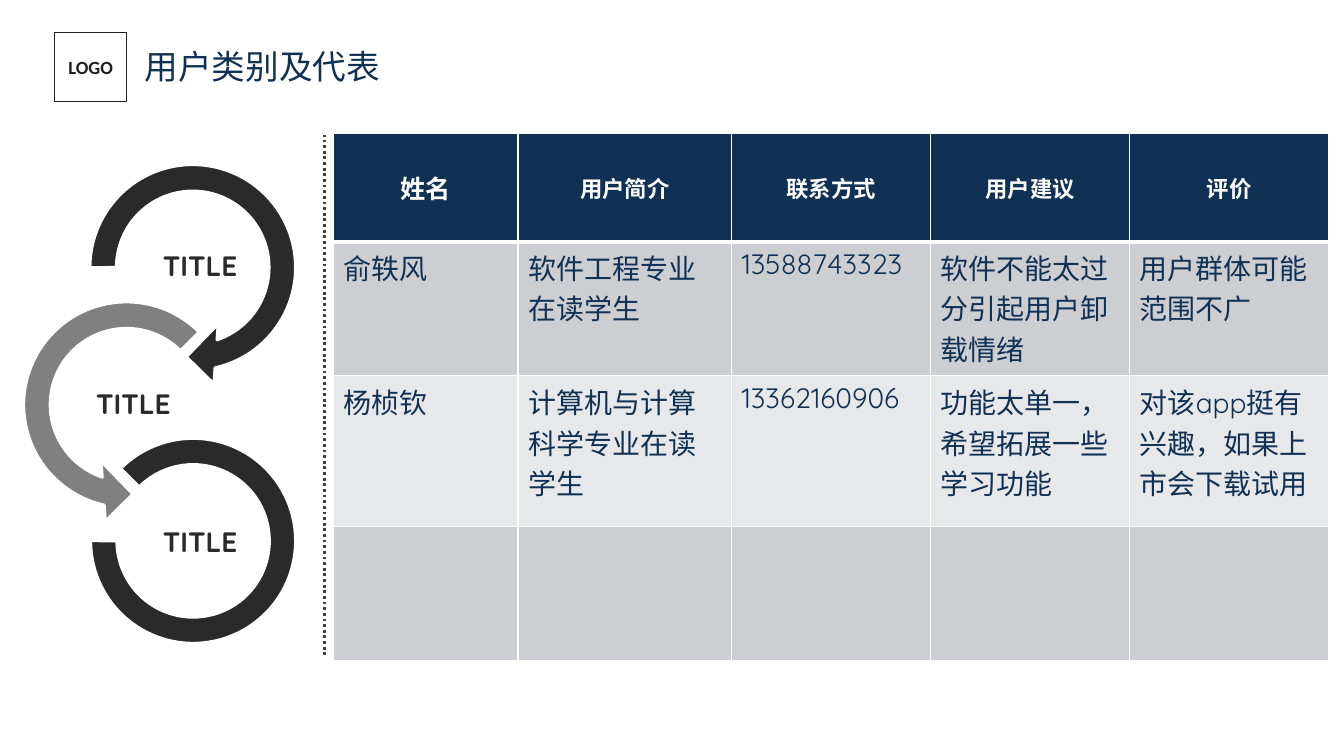
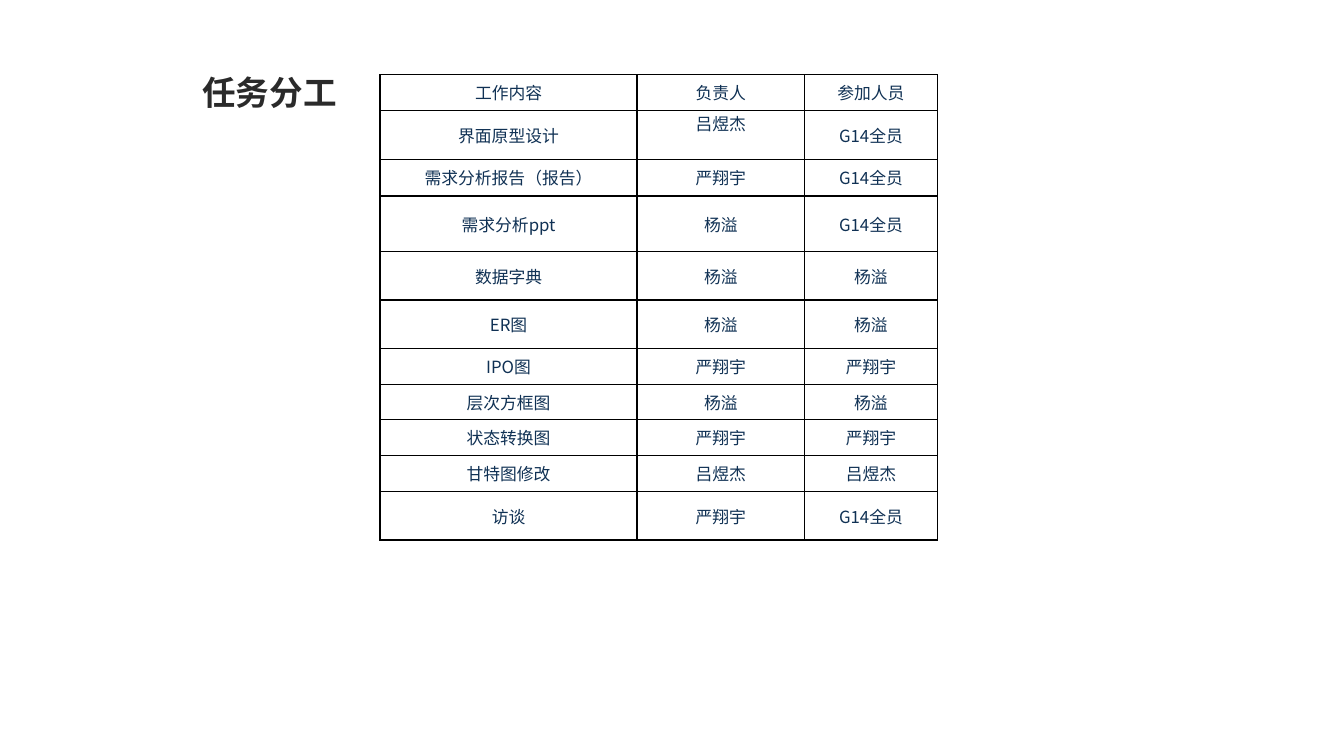
from pptx import Presentation
from pptx.dml.color import RGBColor
from pptx.enum.dml import MSO_LINE
from pptx.enum.shapes import MSO_CONNECTOR, MSO_SHAPE
from pptx.enum.text import MSO_ANCHOR, PP_ALIGN
from pptx.util import Cm, Pt
from lxml.etree import SubElement
from pptx.oxml.ns import qn

HUES = {"navy": "103154", "dark": "2A2A2A", "ink": "1F1F1F", "grey": "808080",
        "dots": "404040", "band": "CCCED1", "pale": "E7E8E9",
        "white": "FFFFFF", "black": "000000"}
HUE = {name: RGBColor.from_string(code) for name, code in HUES.items()}
BODY = "Quicksand"
HAN = "Noto Sans CJK SC"


def write(frame, text, size, hue, font=BODY, bold=False, align=PP_ALIGN.LEFT):
    frame.word_wrap = True
    para = frame.paragraphs[0]
    para.text = text
    para.alignment = align
    para.font.size = Pt(size)
    para.font.name = font
    para.font.bold = bold
    para.font.color.rgb = HUE[hue]
    return para


def grid(slide, left, top, cols, rows, edge):
    frame = slide.shapes.add_table(len(rows), len(cols), Cm(left), Cm(top),
                                   Cm(sum(cols)), Cm(sum(rows)))
    table = frame.table
    table.first_row = table.horz_banding = False
    for col, width in zip(table.columns, cols):
        col.width = Cm(width)
    for row, height in zip(table.rows, rows):
        row.height = Cm(height)
    for cell in table.iter_cells():
        props = cell._tc.get_or_add_tcPr()
        for side in ("a:lnL", "a:lnR", "a:lnT", "a:lnB"):
            line = SubElement(props, qn(side), w=str(Pt(1)))
            fill = SubElement(line, qn("a:solidFill"))
            SubElement(fill, qn("a:srgbClr"), val=HUES[edge])
    return table


deck = Presentation()
deck.slide_width, deck.slide_height = Cm(33.88), Cm(19.05)
blank = deck.slide_layouts[6]
users, tasks = [deck.slides.add_slide(blank) for _ in range(2)]

for slide, text, left, top, width, hue, font, bold in [
        (users, "用户类别及代表", 3.4, 1.04, 10.67, "navy", BODY, False),
        (tasks, "任务分工", 4.85, 1.68, 4.01, "dark", "Noto Sans CJK JP", True)]:
    title = slide.shapes.add_textbox(Cm(left), Cm(top), Cm(width), Cm(1.27))
    write(title.text_frame, text, 24, hue, font, bold)

logo = users.shapes.add_shape(MSO_SHAPE.RECTANGLE, Cm(1.37), Cm(0.81), Cm(1.83), Cm(1.75))
logo.shadow.inherit = False
logo.fill.background()
logo.line.color.rgb = HUE["ink"]
logo.line.width = Pt(0.75)
frame = logo.text_frame
frame.margin_left = frame.margin_right = Cm(0.33)
frame.vertical_anchor = MSO_ANCHOR.MIDDLE
write(frame, "LOGO", 13.3, "ink", "Calibri", True, PP_ALIGN.CENTER)

rings = [
    (MSO_SHAPE.CIRCULAR_ARROW, 1.85, 3.73, 6.02, "dark", (0.11, 11.423, 45, 108, 0.125), 3.38, 5.89),
    (MSO_SHAPE.LEFT_CIRCULAR_ARROW, 0.18, 7.19, 6.02, "grey", (0.11, 11.423, 63, 189, 0.125), 1.7, 9.37),
    (MSO_SHAPE.BLOCK_ARC, 2.29, 11.05, 5.16, "dark", (135, 108, 0.127), 3.38, 12.85),
]
for kind, left, top, size, hue, bends, inner, mid in rings:
    ring = users.shapes.add_shape(kind, Cm(left), Cm(top), Cm(size), Cm(size))
    ring.shadow.inherit = False
    for spot, bend in enumerate(bends):
        ring.adjustments[spot] = bend
    ring.fill.solid()
    ring.fill.fore_color.rgb = HUE[hue]
    ring.line.color.rgb = HUE["white"]
    ring.line.width = Pt(2)
    label = users.shapes.add_textbox(Cm(inner), Cm(mid), Cm(3.33), Cm(1.68))
    frame = label.text_frame
    frame.margin_left = frame.margin_right = frame.margin_top = frame.margin_bottom = Cm(0.03)
    frame.vertical_anchor = MSO_ANCHOR.MIDDLE
    write(frame, "TITLE", 20, "dark", BODY, True, PP_ALIGN.CENTER).line_spacing = 0.9

rule = users.shapes.add_connector(MSO_CONNECTOR.STRAIGHT, Cm(8.18), Cm(16.51), Cm(8.18), Cm(3.4))
rule.line.color.rgb = HUE["dots"]
rule.line.width = Pt(2)
rule.line.dash_style = MSO_LINE.ROUND_DOT
SubElement(rule._element.spPr, qn("a:effectLst"))

people = [
    ("姓名", "用户简介", "联系方式", "用户建议", "评价"),
    ("俞轶风", "软件工程专业在读学生", "13588743323", "软件不能太过分引起用户卸载情绪", "用户群体可能范围不广"),
    ("杨桢钦", "计算机与计算科学专业在读学生", "13362160906", "功能太单一，希望拓展一些学习功能", "对该app挺有兴趣，如果上市会下载试用"),
    ("",) * 5,
]
table = grid(users, 8.41, 3.35, [4.65, 5.38, 5.02, 5.02, 5.02], [2.74, 3.38, 3.8, 3.38], "white")
for r, (row, hue) in enumerate(zip(people, ("navy", "band", "pale", "band"))):
    for c, text in enumerate(row):
        cell = table.cell(r, c)
        cell.fill.solid()
        cell.fill.fore_color.rgb = HUE[hue]
        if r == 0:
            cell.margin_left = cell.margin_right = Cm(0.18)
            cell.margin_top = cell.margin_bottom = 0
            cell.vertical_anchor = MSO_ANCHOR.MIDDLE
            write(cell.text_frame, text, 16 if c else 18, "white", BODY, True, PP_ALIGN.CENTER)
            cell._tc.tcPr.find(qn("a:lnB")).set("w", str(Pt(3)))
        elif text:
            write(cell.text_frame, text, 20, "navy")
        if r == 1:
            cell._tc.tcPr.find(qn("a:lnT")).set("w", str(Pt(3)))

jobs = [
    ("工作内容", "负责人", "参加人员", 0.91),
    ("界面原型设计", "吕煜杰", "G14全员", 1.22),
    ("需求分析报告（报告）", "严翔宇", "G14全员", 0.93),
    ("需求分析ppt", "杨溢", "G14全员", 1.4),
    ("数据字典", "杨溢", "杨溢", 1.22),
    ("ER图", "杨溢", "杨溢", 1.22),
    ("IPO图", "严翔宇", "严翔宇", 0.9),
    ("层次方框图", "杨溢", "杨溢", 0.9),
    ("状态转换图", "严翔宇", "严翔宇", 0.9),
    ("甘特图修改", "吕煜杰", "吕煜杰", 0.91),
    ("访谈", "严翔宇", "G14全员", 1.22),
]
table = grid(tasks, 9.58, 1.88, [6.48, 4.22, 3.35], [job[-1] for job in jobs], "black")
for r, job in enumerate(jobs):
    for c, text in enumerate(job[:-1]):
        cell = table.cell(r, c)
        cell.fill.background()
        cell.margin_left = cell.margin_right = cell.margin_top = cell.margin_bottom = 0
        cell.vertical_anchor = MSO_ANCHOR.MIDDLE
        write(cell.text_frame, text, 12, "navy", HAN, align=PP_ALIGN.CENTER)
table.cell(1, 1).vertical_anchor = MSO_ANCHOR.TOP

deck.save("out.pptx")
